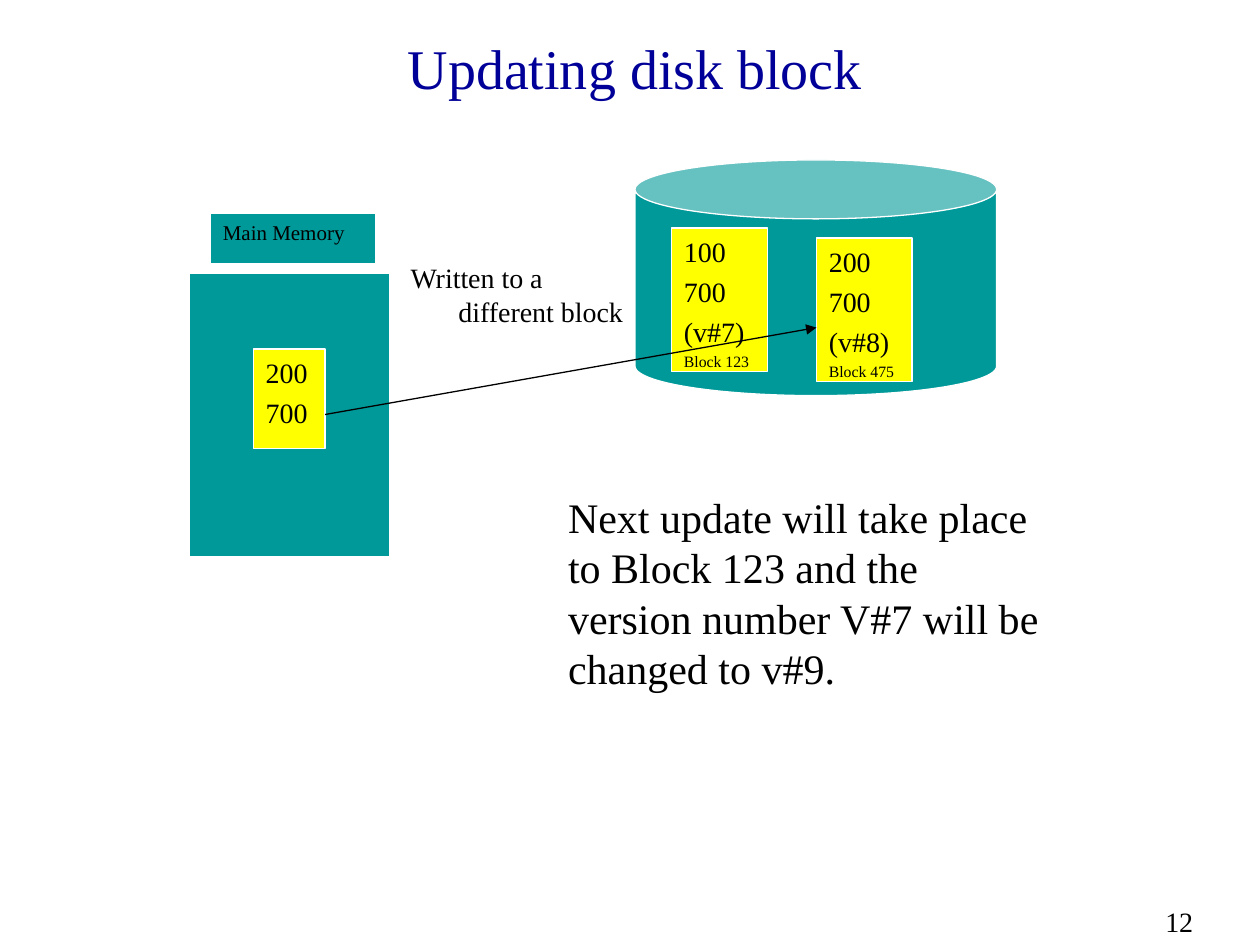
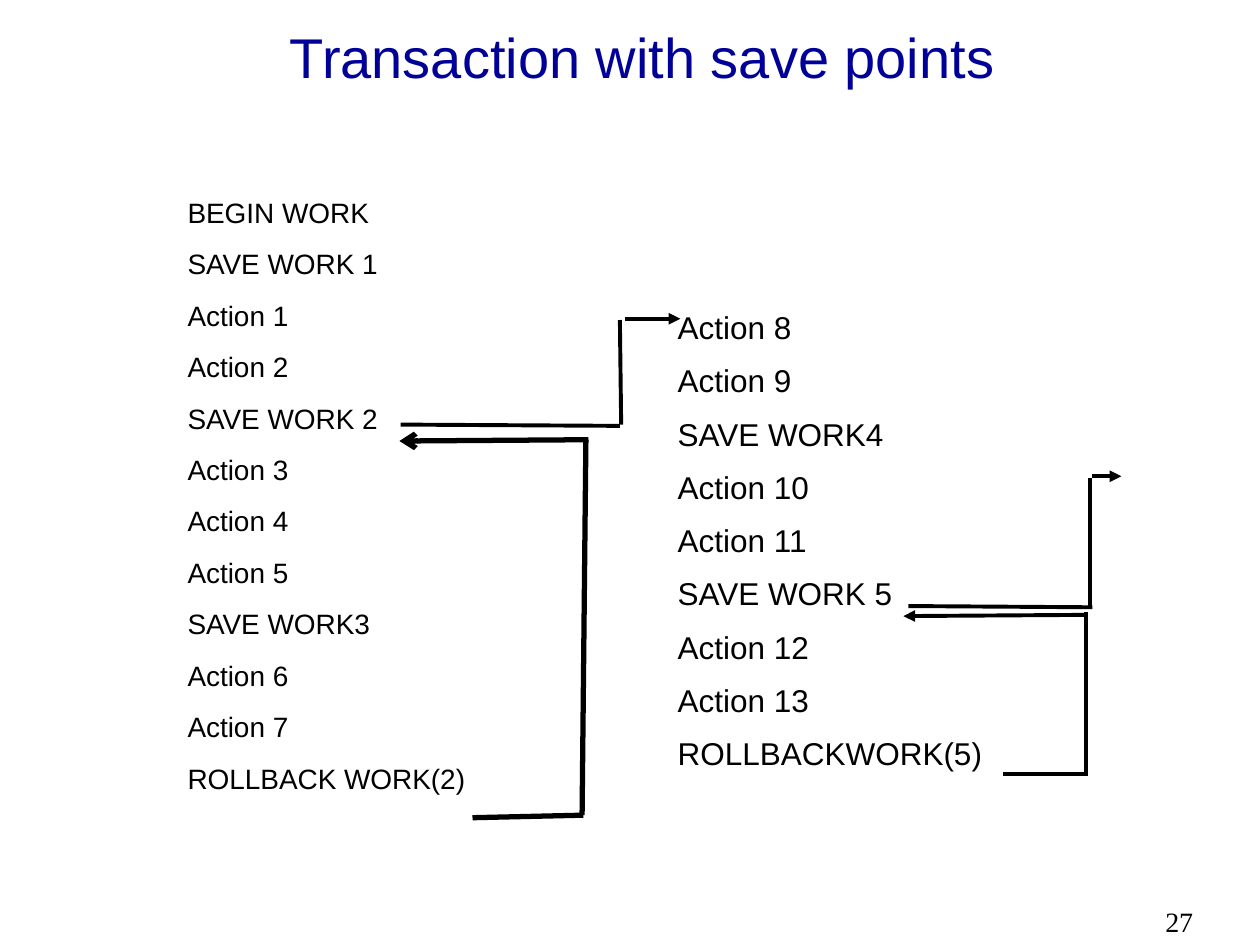
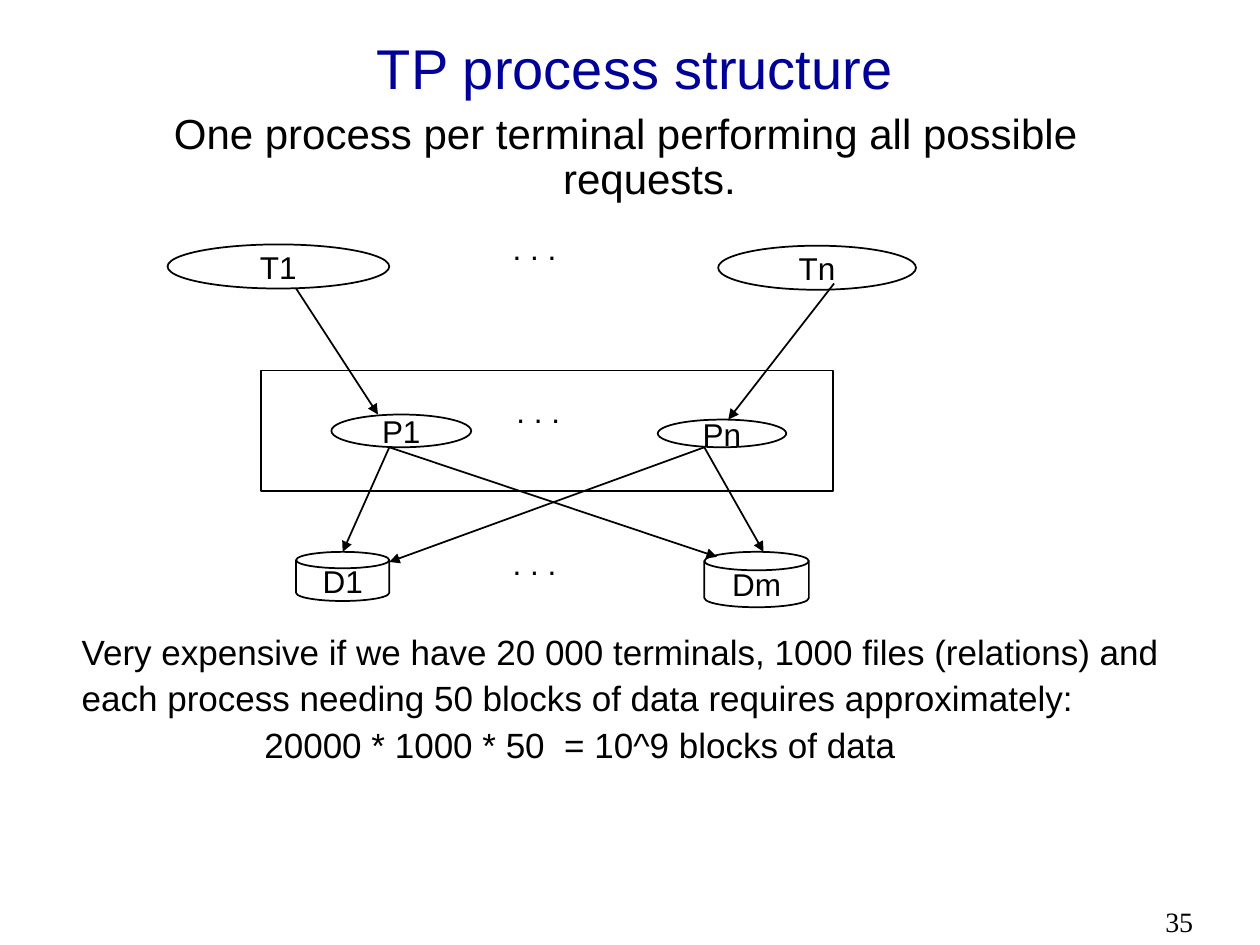
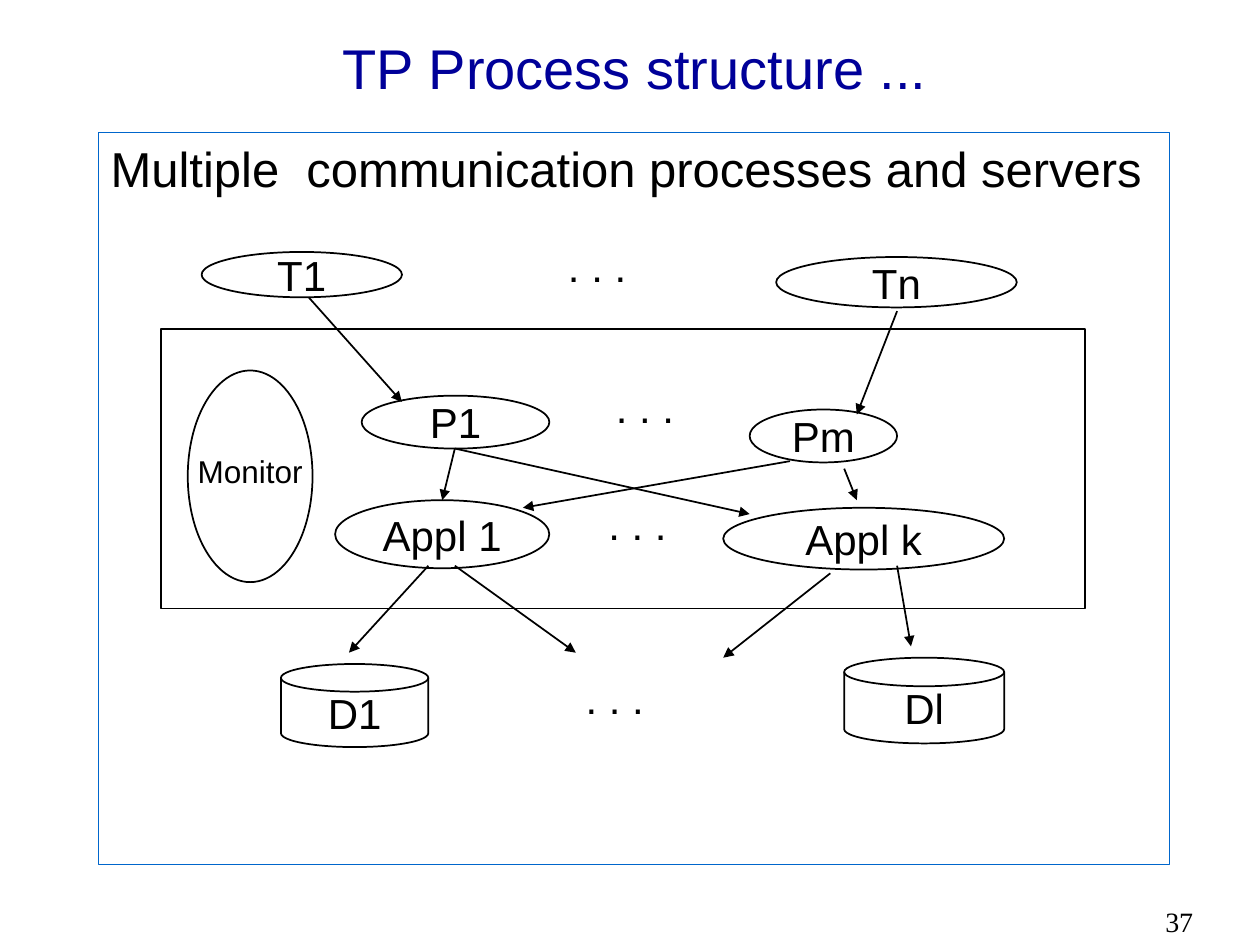
"""Build four lecture slides on disk updates, save points and TP process structure."""
from lxml import etree
from pptx import Presentation
from pptx.dml.color import RGBColor
from pptx.enum.shapes import MSO_CONNECTOR, MSO_SHAPE
from pptx.enum.text import MSO_ANCHOR, PP_ALIGN
from pptx.oxml.ns import qn
from pptx.util import Inches, Pt

NAVY = RGBColor(0x00, 0x00, 0x99)
TEAL = RGBColor(0x00, 0x99, 0x99)
YELLOW = RGBColor(0xFF, 0xFF, 0x00)
BLUE = RGBColor(0x00, 0x66, 0xCC)
WHITE = RGBColor(0xFF, 0xFF, 0xFF)
BLACK = RGBColor(0x00, 0x00, 0x00)
SANS, SERIF = "Arial", "Times New Roman"
RECT, OVAL, CAN = MSO_SHAPE.RECTANGLE, MSO_SHAPE.OVAL, MSO_SHAPE.CAN
DISK = MSO_SHAPE.FLOWCHART_MAGNETIC_DISK
STRAIGHT = MSO_CONNECTOR.STRAIGHT
LEFT, CENTER = PP_ALIGN.LEFT, PP_ALIGN.CENTER
TOP, MIDDLE = MSO_ANCHOR.TOP, MSO_ANCHOR.MIDDLE
HANG = Inches(0.38)


def put(slide, kind, box, lines=(), size=18, font=SANS, color=BLACK, fill=None,
        edge=BLACK, width=1, align=LEFT, anchor=TOP, wrap=True, gap=0, lead=None,
        hang=False):
    """Add a preset shape, or a text box when kind is None, and return its text frame."""
    area = [Inches(n) for n in box]
    if kind is None:
        shape = slide.shapes.add_textbox(*area)
    else:
        shape = slide.shapes.add_shape(kind, *area)
        shape.shadow.inherit = False
        if fill is None:
            shape.fill.background()
        else:
            shape.fill.solid()
            shape.fill.fore_color.rgb = fill
        shape.line.color.rgb = edge
        shape.line.width = Pt(width)
    frame = shape.text_frame
    frame.word_wrap = wrap
    frame.vertical_anchor = anchor
    for i, text in enumerate(lines):
        para = frame.add_paragraph() if i else frame.paragraphs[0]
        para.alignment = align
        if i and gap:
            para.space_before = Pt(gap)
        if lead:
            para.line_spacing = lead
        if hang:
            props = para._p.get_or_add_pPr()
            props.set("marL", str(HANG))
            props.set("indent", str(-HANG))
        run = para.add_run()
        run.text = text
        run.font.size = Pt(size)
        run.font.name = font
        run.font.color.rgb = color
    return frame


def link(slide, start, end, width=1, head="triangle"):
    """Draw a straight black line with an optional arrowhead at its end."""
    line = slide.shapes.add_connector(STRAIGHT, *[Inches(n) for n in start + end])
    line.line.color.rgb = BLACK
    line.line.width = Pt(width)
    if head:
        etree.SubElement(line.line._get_or_add_ln(), qn("a:tailEnd"), type=head)
    etree.SubElement(line._element.spPr, qn("a:effectLst"))


deck = Presentation()
deck.slide_width, deck.slide_height = Inches(10), Inches(7.5)
slides = []
for title, page, font, left, top, lead in [
    ("Updating disk block", "12", SERIF, 0.79, 0.19, None),
    ("Transaction with save points", "27", SANS, 0.85, 0.22, Pt(21.4)),
    ("TP process structure", "35", SANS, 0.79, 0.19, None),
    ("TP Process structure ...", "37", SANS, 0.79, 0.19, None),
]:
    slide = deck.slides.add_slide(deck.slide_layouts[6])
    put(slide, None, (9.15, 7.13, 0.85, 0.37), [page], 16, SERIF, hang=True)
    put(slide, None, (left, top, 8.5, 0.69), [title], 32, font, NAVY,
        align=CENTER, anchor=MIDDLE, lead=lead)
    slides.append(slide)
update, save, single, multi = slides

put(update, CAN, (5.04, 1.27, 2.87, 1.87), fill=TEAL, edge=WHITE, width=0.75)
put(update, RECT, (1.5, 2.17, 1.59, 2.25), fill=TEAL, edge=WHITE, width=0.75)
put(update, RECT, (1.67, 1.69, 1.31, 0.4), ["Main Memory"], 12, SERIF,
    fill=TEAL, edge=WHITE, width=0.75, hang=True)
for box, lines in [
    ((5.33, 1.81, 0.76, 1.14), ["100", "700", "(v#7)", "Block 123"]),
    ((2.01, 2.77, 0.57, 0.79), ["200", "700"]),
    ((6.48, 1.89, 0.76, 1.14), ["200", "700", "(v#8)", "Block 475"]),
]:
    frame = put(update, RECT, box, lines, 16, SERIF, fill=YELLOW, edge=WHITE,
                width=0.75, gap=3.8)
    for para in frame.paragraphs[3:]:
        para.space_before = Pt(2)
        para.runs[0].font.size = Pt(9)
link(update, (2.58, 3.29), (6.48, 2.6), 0.75)
put(update, None, (3.16, 2.02, 1.92, 0.82), ["Written to a different block"],
    16, SERIF, hang=True)
put(update, None, (4.41, 3.85, 3.95, 1.72),
    ["Next update will take place to Block 123 and the version number V#7 "
     "will be changed to v#9."], 24, SERIF)

for box, size, lines in [
    ((1.39, 1.47, 3.44, 5.39), 16,
     ["BEGIN WORK", "SAVE WORK 1", "Action 1", "Action 2", "SAVE WORK 2",
      "Action 3", "Action 4", "Action 5", "SAVE WORK3", "Action 6", "Action 7",
      "ROLLBACK WORK(2)"]),
    ((5.28, 2.4, 3.78, 4.14), 18,
     ["Action 8", "Action 9", "SAVE WORK4", "Action 10", "Action 11",
      "SAVE WORK 5", "Action 12", "Action 13", "ROLLBACKWORK(5)"]),
]:
    put(save, None, box, lines, size, gap=size / 2, lead=Pt(21.4))
for start, end, width, head in [
    ((3.18, 3.37), (4.92, 3.38), 2.25, None),
    ((4.93, 3.37), (4.92, 2.54), 2.25, None),
    ((4.96, 2.53), (5.4, 2.53), 2.25, "triangle"),
    ((7.21, 4.81), (8.67, 4.82), 2.25, None),
    ((8.67, 3.78), (8.9, 3.78), 2.25, "triangle"),
    ((8.65, 4.81), (8.65, 3.79), 2.25, None),
    ((7.96, 6.14), (8.6, 6.14), 2.25, None),
    ((8.62, 6.16), (8.62, 4.86), 2.25, None),
    ((8.61, 4.88), (7.17, 4.89), 2.25, "triangle"),
    ((4.67, 3.49), (3.17, 3.5), 3, "arrow"),
    ((4.65, 3.49), (4.62, 6.47), 3, None),
    ((3.75, 6.49), (4.63, 6.47), 3, None),
]:
    link(save, start, end, width, head)

put(single, None, (0.55, 0.85, 8.83, 0.9),
    ["One process per terminal performing all possible requests."], 24,
    align=CENTER, lead=0.9, hang=True)
frame = put(single, None, (0.55, 4.99, 8.83, 1.2),
            ["Very expensive if we have 20 000 terminals, 1000 files (relations) and",
             "each process needing 50 blocks of data requires approximately:",
             "20000 * 1000 * 50  = 10^9 blocks of data"], 20, gap=5, lead=0.9)
frame.paragraphs[2]._p.get_or_add_pPr().set("marL", str(Inches(1.45)))

put(multi, RECT, (0.78, 1.05, 8.5, 5.81),
    ["Multiple  communication processes and servers"], 28, edge=BLUE,
    width=0.75, hang=True)

for slide, size, frame, nodes, links, dots in [
    (single, 18, (2.07, 2.94, 4.54, 0.96),
     [(OVAL, "T1", (1.33, 1.94, 1.76, 0.35)),
      (OVAL, "Tn", (5.7, 1.95, 1.57, 0.35)),
      (OVAL, "P1", (2.63, 3.29, 1.11, 0.26)),
      (OVAL, "Pn", (5.22, 3.33, 1.02, 0.22)),
      (DISK, "D1", (2.35, 4.38, 0.74, 0.39)),
      (DISK, "Dm", (5.59, 4.38, 0.83, 0.44))],
     [((2.35, 2.29), (3, 3.29)),
      ((6.62, 2.25), (5.78, 3.33)),
      ((3.09, 3.55), (2.72, 4.38)),
      ((3.09, 3.55), (5.69, 4.42)),
      ((5.59, 3.55), (3.09, 4.46)),
      ((5.59, 3.55), (6.06, 4.38))],
     [(3.97, 1.77), (3.97, 4.27), (4, 3.06)]),
    (multi, 24, (1.28, 2.61, 7.33, 2.22),
     [(OVAL, "T1", (1.6, 2, 1.59, 0.36)),
      (OVAL, "Tn", (6.16, 2.04, 1.91, 0.4)),
      (OVAL, "Appl 1", (2.66, 3.97, 1.7, 0.54)),
      (OVAL, "Appl k", (5.74, 4.03, 2.23, 0.49)),
      (OVAL, "Monitor", (1.49, 2.94, 0.99, 1.68)),
      (DISK, "D1", (2.23, 5.27, 1.17, 0.66)),
      (DISK, "Dl", (6.7, 5.22, 1.27, 0.68)),
      (OVAL, "P1", (2.87, 3.14, 1.49, 0.42)),
      (OVAL, "Pm", (5.95, 3.25, 1.17, 0.42))],
     [((2.45, 2.36), (3.19, 3.19)),
      ((7.12, 2.47), (6.8, 3.29)),
      ((3.4, 4.49), (2.77, 5.18)),
      ((3.61, 4.49), (4.57, 5.18)),
      ((7.12, 4.49), (7.23, 5.13)),
      ((6.59, 4.55), (5.74, 5.22)),
      ((3.61, 3.56), (3.51, 3.97)),
      ((3.61, 3.56), (5.95, 4.08)),
      ((6.27, 3.66), (4.15, 4.03)),
      ((6.7, 3.72), (6.8, 3.97))],
     [(4.41, 1.86), (4.79, 2.98), (4.73, 3.91), (4.55, 5.29)]),
]:
    put(slide, RECT, frame)
    for kind, name, box in nodes:
        watch = name == "Monitor"
        put(slide, kind, box, [name], 18 if watch else size, align=CENTER,
            anchor=MIDDLE, wrap=False, lead=0.6 if watch else None)
    for start, end in links:
        link(slide, start, end)
    for left, top in dots:
        put(slide, None, (left, top, 1, size / 48), [". . ."], size)

deck.save("out.pptx")
